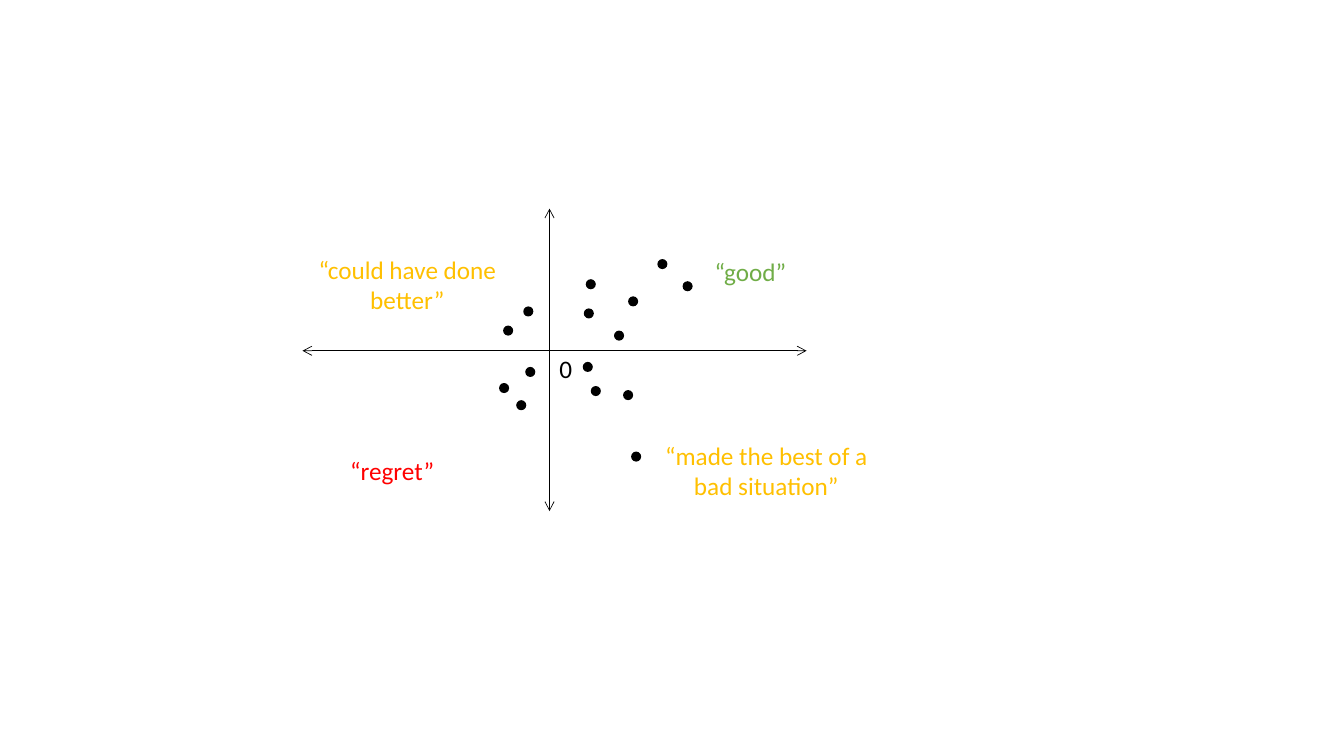
from lxml import etree
from pptx import Presentation
from pptx.dml.color import RGBColor
from pptx.enum import shapes, text
from pptx.oxml import ns
from pptx.util import Inches, Pt

COLOURS = {"black": "000000", "red": "FF0000", "amber": "FFC000", "green": "70AD47"}
FONT = "Calibri"
ORIGIN_X, ORIGIN_Y = 5.45, 3.48
DOT_SIZE = 0.1

# Left and top of each dot, by quadrant
DOTS = {
    "good": [(6.09, 3.28), (6.52, 2.57), (5.81, 2.77), (5.79, 3.06), (6.23, 2.94), (6.77, 2.79)],
    "could have done better": [(4.99, 3.23), (5.19, 3.04)],
    "regret": [(4.95, 3.8), (5.12, 3.97), (5.21, 3.64)],
    "made the best": [(6.26, 4.48), (5.78, 3.59), (5.86, 3.83), (6.18, 3.87)],
}


def colour(name):
    return RGBColor.from_string(COLOURS[name])


def add_axis(parent, start, end):
    """Draw a thin line with an open arrowhead at both ends."""
    axis = parent.shapes.add_connector(
        shapes.MSO_CONNECTOR.STRAIGHT, *(Inches(value) for value in start + end))
    axis.line.color.rgb = colour("black")
    axis.line.width = Pt(0.5)
    outline = axis.line._get_or_add_ln()
    for tag in ("a:headEnd", "a:tailEnd"):
        etree.SubElement(outline, ns.qn(tag), type="arrow")
    etree.SubElement(axis._element.spPr, ns.qn("a:effectLst"))


def add_label(parent, wording, position, colour_name, wrap=False, align=text.PP_ALIGN.CENTER):
    box = parent.shapes.add_textbox(*(Inches(value) for value in position))
    frame = box.text_frame
    frame.word_wrap = wrap
    frame.auto_size = text.MSO_AUTO_SIZE.SHAPE_TO_FIT_TEXT
    para = frame.paragraphs[0]
    para.text = wording
    para.alignment = align
    para.font.name = FONT
    para.font.size = Pt(18)
    para.font.color.rgb = colour(colour_name)


def add_dot(page, left, top):
    dot = page.shapes.add_shape(
        shapes.MSO_SHAPE.OVAL, Inches(left), Inches(top), Inches(DOT_SIZE), Inches(DOT_SIZE))
    dot.shadow.inherit = False
    dot.fill.solid()
    dot.fill.fore_color.rgb = colour("black")
    dot.line.fill.background()


def main():
    deck = Presentation()
    deck.slide_width, deck.slide_height = Inches(13.33), Inches(7.5)
    page = deck.slides.add_slide(deck.slide_layouts[6])

    axes = page.shapes.add_group_shape()
    add_axis(axes, (3, ORIGIN_Y), (8, ORIGIN_Y))
    add_axis(axes, (ORIGIN_X, 2.07), (ORIGIN_X, 5.07))
    left = text.PP_ALIGN.LEFT
    add_label(axes, "0", (ORIGIN_X, 3.46, 0.33, 0.4), "black", align=left)

    add_label(page, "“regret”", (3.37, 4.47, 1.04, 0.4), "red")
    add_label(page, "“made the best of a bad situation”", (6.41, 4.32, 2.38, 0.71), "amber", wrap=True)
    add_label(page, "“could have done better”", (2.85, 2.47, 2.38, 0.71), "amber", wrap=True)
    add_label(page, "“good”", (6.99, 2.49, 0.92, 0.4), "green", align=left)

    for quadrant in DOTS.values():
        for position in quadrant:
            add_dot(page, *position)

    deck.save("out.pptx")


if __name__ == "__main__":
    main()
